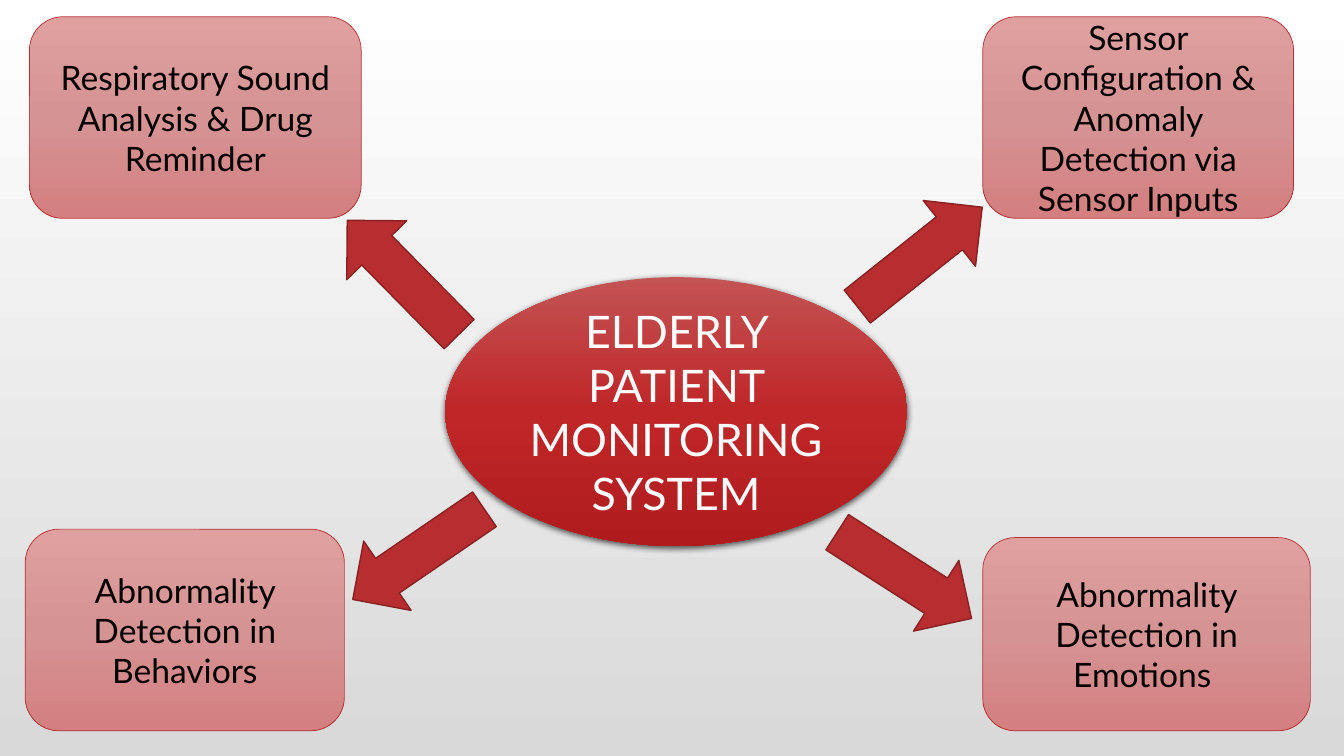
"""Build a slide showing an elderly patient monitoring system and its four functions."""
from lxml.etree import SubElement
from pptx import Presentation
from pptx.dml.color import RGBColor
from pptx.enum.shapes import MSO_SHAPE as Shape
from pptx.enum.text import MSO_ANCHOR as Anchor, PP_ALIGN as Align
from pptx.oxml.ns import qn
from pptx.util import Pt

HUB = ("ELDERLY PATIENT MONITORING SYSTEM", (318, 198, 330, 192))
FUNCTIONS = [
    ("Sensor Configuration & Anomaly Detection via Sensor Inputs", (702, 12, 222, 144)),
    ("Respiratory Sound Analysis & Drug Reminder", (21, 12, 237, 144)),
    ("Abnormality Detection in Emotions ", (702, 384, 234, 138)),
    ("Abnormality Detection in Behaviors", (18, 378, 228, 144)),
]
ARROWS = [(600, 153.5, 321.5), (231, 168, 225.5), (242, 366, 145.6), (589, 381, 32.7)]
ARROW_SIZE = (114, 60)

THEME = {
    "font": "Lato",
    "hub_size": 32,
    "box_size": 24,
    "hub_text": "FFFFFF",
    "box_text": "000000",
    "background": ("D9D9D9", "FFFFFF"),
    "hub": ("C35354", "BF2628", "B01C1E"),
    "box": ("E0A0A0", "D69394", "D47F80"),
    "red": "B82D2F",
    "dark_red": "882123",
    "shadow": "000000",
}
UPWARD, DOWNWARD = 90, 270


def color(name):
    return RGBColor.from_string(THEME[name])


def paint_gradient(fill, element, colors, angle):
    fill.gradient()
    fill.gradient_angle = angle
    stops = next(element.iter(qn("a:gsLst")))
    for stop in list(stops):
        stops.remove(stop)
    for index, value in enumerate(colors):
        position = 100000 * index // (len(colors) - 1)
        stop = SubElement(stops, qn("a:gs"), pos=str(position))
        SubElement(stop, qn("a:srgbClr"), val=value)


def add_shape(page, kind, frame):
    shape = page.shapes.add_shape(kind, *map(Pt, frame))
    shape.shadow.inherit = False
    return shape


def outline(shape, name, width):
    shape.line.color.rgb = color(name)
    shape.line.width = Pt(width)


def write(shape, text, size, text_color):
    frame = shape.text_frame
    for name, value in {"word_wrap": True, "vertical_anchor": Anchor.MIDDLE}.items():
        setattr(frame, name, value)
    para = frame.paragraphs[0]
    para.alignment = Align.CENTER
    span = para.add_run()
    span.text = text
    for name, value in {"name": THEME["font"], "size": Pt(THEME[size])}.items():
        setattr(span.font, name, value)
    span.font.color.rgb = color(text_color)


def drop_shadow(shape):
    effects = next(shape.element.iter(qn("a:effectLst")))
    shadow = SubElement(
        effects, qn("a:outerShdw"), blurRad=str(Pt(4.5)), dist=str(Pt(1.5)),
        dir="5400000", rotWithShape="0")
    tint = SubElement(shadow, qn("a:srgbClr"), val=THEME["shadow"])
    SubElement(tint, qn("a:alpha"), val="63000")


def add_hub(page):
    text, frame = HUB
    hub = add_shape(page, Shape.OVAL, frame)
    paint_gradient(hub.fill, hub.element, THEME["hub"], DOWNWARD)
    hub.line.fill.background()
    drop_shadow(hub)
    write(hub, text, "hub_size", "hub_text")


def add_box(page, text, frame):
    box = add_shape(page, Shape.ROUNDED_RECTANGLE, frame)
    paint_gradient(box.fill, box.element, THEME["box"], DOWNWARD)
    outline(box, "red", 0.5)
    write(box, text, "box_size", "box_text")


def add_arrow(page, left, top, rotation):
    arrow = add_shape(page, Shape.RIGHT_ARROW, (left, top, *ARROW_SIZE))
    arrow.rotation = rotation
    arrow.fill.solid()
    arrow.fill.fore_color.rgb = color("red")
    outline(arrow, "dark_red", 1)


def main():
    deck = Presentation()
    deck.slide_width, deck.slide_height = Pt(960), Pt(540)
    page = deck.slides.add_slide(deck.slide_layouts[6])
    paint_gradient(page.background.fill, page.element, THEME["background"], UPWARD)
    add_hub(page)
    for text, frame in FUNCTIONS:
        add_box(page, text, frame)
    for arrow in ARROWS:
        add_arrow(page, *arrow)
    deck.save("out.pptx")


if __name__ == "__main__":
    main()
